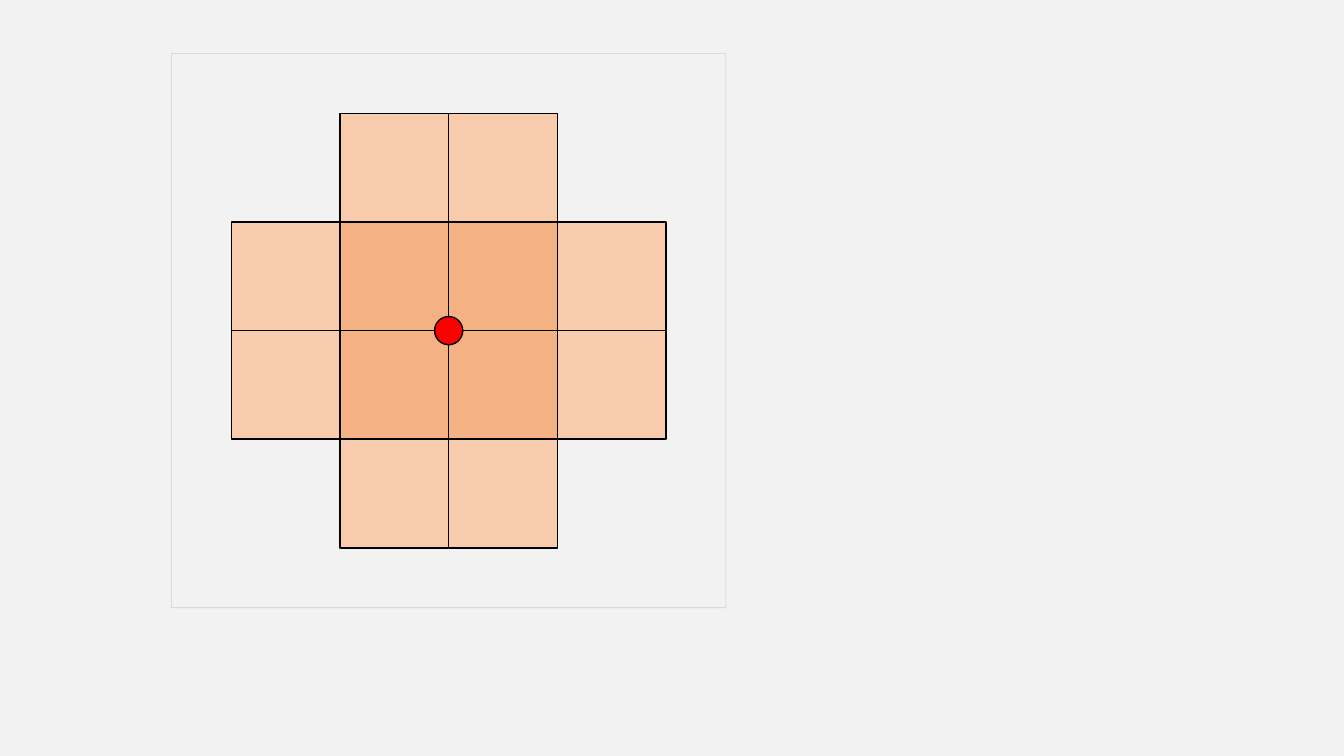
from dataclasses import dataclass
from itertools import product

from lxml.etree import SubElement
from pptx import Presentation
from pptx.dml.color import RGBColor
from pptx.enum.shapes import MSO_SHAPE
from pptx.oxml.ns import qn
from pptx.shapes.autoshape import Shape
from pptx.util import Inches, Pt

PAPER = RGBColor(0xF2, 0xF2, 0xF2)
GREY = RGBColor(0xA6, 0xA6, 0xA6)
BLACK = RGBColor(0, 0, 0)
PEACH = RGBColor(0xF8, 0xCB, 0xAD)
ORANGE = RGBColor(0xF4, 0xB1, 0x83)
RED = RGBColor(0xFF, 0, 0)

MID_X, MID_Y = 4.45, 3.28
COUNT = 4
CELL = 4.31 / COUNT


@dataclass
class Mark:
    x: float  # centre
    y: float
    size: float
    fill: RGBColor | None = None
    line: RGBColor = BLACK
    width: float = 1
    kind: MSO_SHAPE = MSO_SHAPE.RECTANGLE


deck = Presentation()
deck.slide_width, deck.slide_height = Inches(13.33), Inches(7.5)
slide = deck.slides.add_slide(deck.slide_layouts[6])
slide.background.fill.solid()
slide.background.fill.fore_color.rgb = PAPER


def draw(mark: Mark) -> Shape:
    half = mark.size / 2
    shape = slide.shapes.add_shape(
        mark.kind, Inches(mark.x - half), Inches(mark.y - half),
        Inches(mark.size), Inches(mark.size))
    shape.shadow.inherit = False
    if mark.fill is None:
        shape.fill.background()
    else:
        shape.fill.solid()
        shape.fill.fore_color.rgb = mark.fill
    shape.line.color.rgb = mark.line
    shape.line.width = Pt(mark.width)
    return shape


def fade(shape: Shape, share: int) -> None:
    """Set the line's opacity in percent."""
    color = shape.line._get_or_add_ln().find(".//" + qn("a:srgbClr"))
    SubElement(color, qn("a:alpha"), val=str(share * 1000))


# Frame
fade(draw(Mark(MID_X, MID_Y, 5.5, line=GREY, width=0.5)), 45)

# Cross of cells: a square grid without its corners, darker inside
edge = (0, COUNT - 1)
for row, col in product(range(COUNT), repeat=2):
    sides = (row in edge) + (col in edge)
    if sides < 2:
        draw(Mark(MID_X + (col - 1.5) * CELL, MID_Y + (row - 1.5) * CELL,
                  CELL, PEACH if sides else ORANGE))

# Centre point
draw(Mark(MID_X, MID_Y, 0.28, RED, kind=MSO_SHAPE.OVAL))

deck.save("out.pptx")
